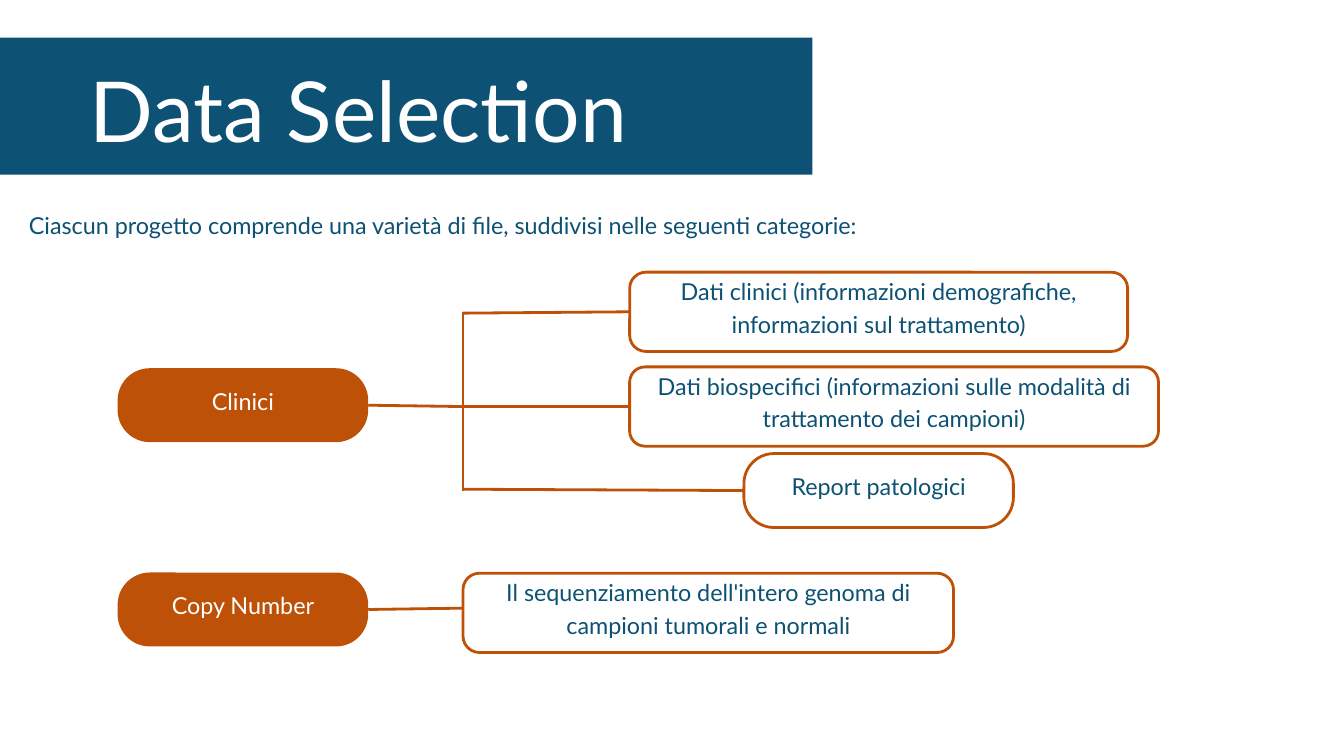
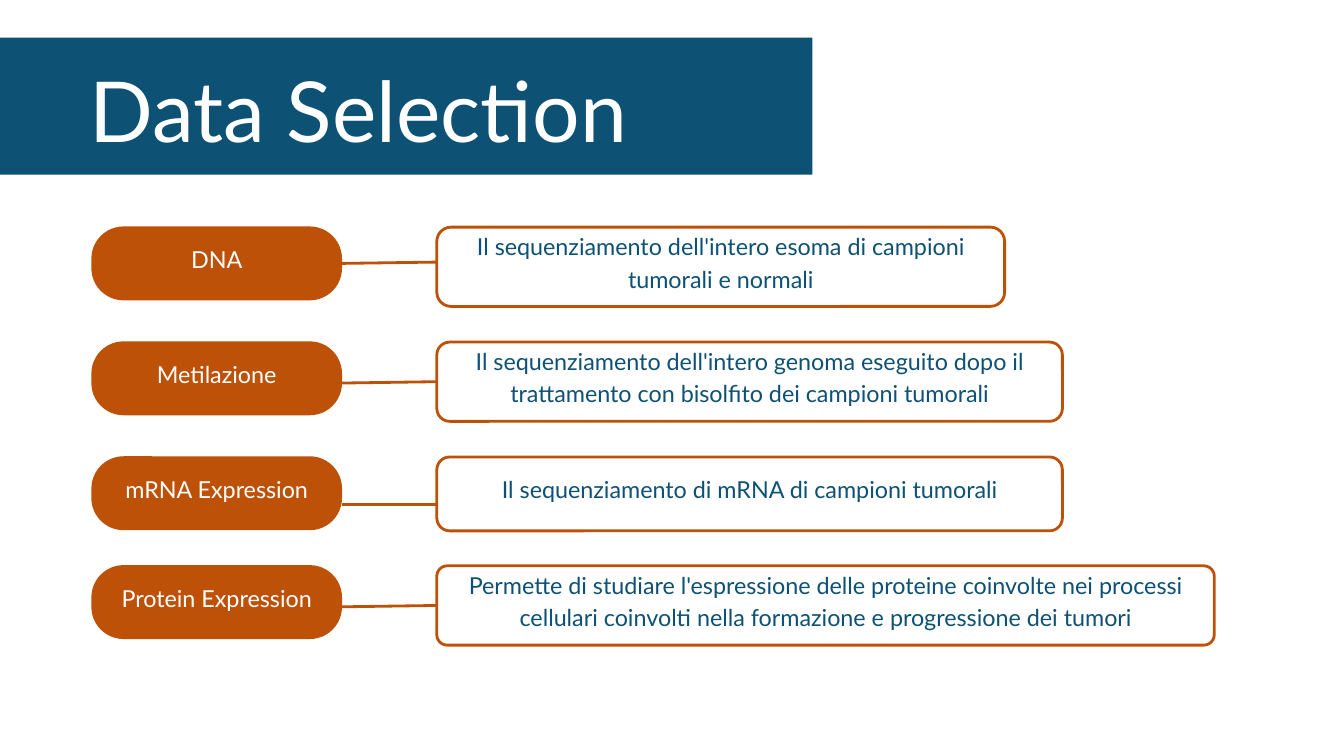
from dataclasses import dataclass

import pptx
import pptx.dml.color
import pptx.enum.shapes
import pptx.enum.text
import pptx.oxml.ns
import pptx.util
from lxml import etree

PX = 9144
BLUE = "0D5174"
ORANGE = "BE5108"
WHITE = "FFFFFF"
FONT = "Lato"
PILL_W, PILL_H = 373, 110
ROW_BOX_OFFSET = 514
CORNER = 17900
JOIN_TOLERANCE = 2
TOP, LEFT, BOTTOM, RIGHT = range(4)


@dataclass(frozen=True)
class Box:
    text: str
    x: int
    y: int
    w: int
    h: int
    filled: bool = False


@dataclass(frozen=True)
class Row:
    label: str
    text: str
    y: int
    w: int
    h: int
    line_y: int


CLINICAL = Box("Clinici", 175, 548, PILL_W, PILL_H, True)
CLINICAL_FILES = [
    Box("Dati clinici (informazioni demografiche, informazioni sul trattamento)",
        937, 405, 741, 118),
    Box("Dati biospecifici (informazioni sulle modalità di trattamento dei campioni)",
        937, 546, 787, 118),
    Box("Report patologici", 1107, 675, 401, 110),
]
TRUNK_X = 689
BRANCH_YS = [466, 605, 728]

COPY_NUMBER = Row(
    "Copy Number",
    "Il sequenziamento dell'intero genoma di campioni tumorali e normali",
    853, 730, 118, 905)
MOLECULAR_ROWS = [
    Row("DNA",
        "Il sequenziamento dell'intero esoma di campioni tumorali e normali",
        338, 845, 118, 390),
    Row("Metilazione",
        "Il sequenziamento dell'intero genoma eseguito dopo il trattamento con "
        "bisolfito dei campioni tumorali",
        509, 931, 118, 570),
    Row("mRNA Expression",
        "Il sequenziamento di mRNA di campioni tumorali",
        680, 931, 110, 751),
    Row("Protein Expression",
        "Permette di studiare l'espressione delle proteine coinvolte nei processi "
        "cellulari coinvolti nella formazione e progressione dei tumori",
        842, 1157, 118, 903),
]


def px(*lengths: int) -> list[pptx.util.Emu]:
    return [pptx.util.Emu(n * PX) for n in lengths]


def rgb(color: str) -> pptx.dml.color.RGBColor:
    return pptx.dml.color.RGBColor.from_string(color)


def write(sp, text: str, size: int, spacing: int, color: str,
          centered: bool = True, insets: tuple = (0, 0, 0, 0),
          anchor=pptx.enum.text.MSO_ANCHOR.TOP) -> None:
    tf = sp.text_frame
    tf.text = text
    tf.word_wrap = True
    tf.auto_size = pptx.enum.text.MSO_AUTO_SIZE.NONE
    tf.vertical_anchor = anchor
    tf.margin_left, tf.margin_top, tf.margin_right, tf.margin_bottom = px(*insets)
    p = tf.paragraphs[0]
    align = pptx.enum.text.PP_ALIGN
    p.alignment = align.CENTER if centered else align.LEFT
    p.line_spacing = pptx.util.Pt(spacing)
    font = p.runs[0].font
    font.name = FONT
    font.size = pptx.util.Pt(size)
    font.color.rgb = rgb(color)


def add_titled_slide(prs, title: str):
    s = prs.slides.add_slide(prs.slide_layouts[5])
    sp = s.shapes.title
    sp.left, sp.top, sp.width, sp.height = px(-142, 56, 1351, 204)
    sp.fill.solid()
    sp.fill.fore_color.rgb = rgb(BLUE)
    write(sp, title, 90, 126, WHITE, insets=(0, 6, 0, 0))
    return s


def add_box(s, box: Box):
    sp = s.shapes.add_shape(pptx.enum.shapes.MSO_SHAPE.ROUNDED_RECTANGLE,
                            *px(box.x, box.y, box.w, box.h))
    sp.shadow.inherit = False
    sp.adjustments[0] = CORNER / box.w / box.h
    sp.fill.solid()
    sp.fill.fore_color.rgb = rgb(ORANGE if box.filled else WHITE)
    if box.filled:
        sp.line.fill.background()
    else:
        sp.line.color.rgb = rgb(ORANGE)
        sp.line.width = pptx.util.Pt(3)
    write(sp, box.text, 25, 35, WHITE if box.filled else BLUE,
          insets=(0, 0, 0, 20), anchor=pptx.enum.text.MSO_ANCHOR.MIDDLE)
    return sp


def is_side_middle(sp, y: int) -> bool:
    return abs(sp.top + sp.height / 2 - y * PX) <= JOIN_TOLERANCE * PX


def add_line(s, x1: int, y1: int, x2: int, y2: int, start=None, end=None) -> None:
    line = s.shapes.add_connector(pptx.enum.shapes.MSO_CONNECTOR.STRAIGHT,
                                  *px(x1, y1, x2, y2))
    line.line.color.rgb = rgb(ORANGE)
    line.line.width = pptx.util.Pt(3)
    etree.SubElement(line.element.spPr, pptx.oxml.ns.qn("a:effectLst"))
    if start is not None and is_side_middle(start, y1):
        line.begin_connect(start, RIGHT)
    if end is not None and is_side_middle(end, y2):
        line.end_connect(end, LEFT)


def add_row(s, x: int, row: Row) -> None:
    box_x = x + ROW_BOX_OFFSET
    pill = add_box(s, Box(row.label, x, row.y - 1, PILL_W, PILL_H, True))
    box = add_box(s, Box(row.text, box_x, row.y, row.w, row.h))
    add_line(s, x + PILL_W, row.line_y, box_x, row.line_y, pill, box)


def add_clinical_tree(s) -> None:
    pill = add_box(s, CLINICAL)
    trunk_y = BRANCH_YS[1]
    add_line(s, CLINICAL.x + CLINICAL.w, trunk_y, TRUNK_X, trunk_y, start=pill)
    add_line(s, TRUNK_X, BRANCH_YS[0] - 2, TRUNK_X, BRANCH_YS[-1] + 2)
    for box, y in zip(CLINICAL_FILES, BRANCH_YS):
        sp = add_box(s, box)
        add_line(s, TRUNK_X, y, box.x, box.y + box.h // 2, end=sp)


def main() -> None:
    prs = pptx.Presentation()
    prs.slide_width, prs.slide_height = px(2000, 1125)

    s = add_titled_slide(prs, "Data Selection")
    intro = s.shapes.add_textbox(*px(43, 307, 1767, 46))
    write(intro, "Ciascun progetto comprende una varietà di file, suddivisi nelle "
          "seguenti categorie:", 25, 35, BLUE, centered=False)
    add_clinical_tree(s)
    add_row(s, CLINICAL.x, COPY_NUMBER)

    s = add_titled_slide(prs, "Data Selection")
    for row in MOLECULAR_ROWS:
        add_row(s, 136, row)

    prs.save("out.pptx")


if __name__ == "__main__":
    main()
